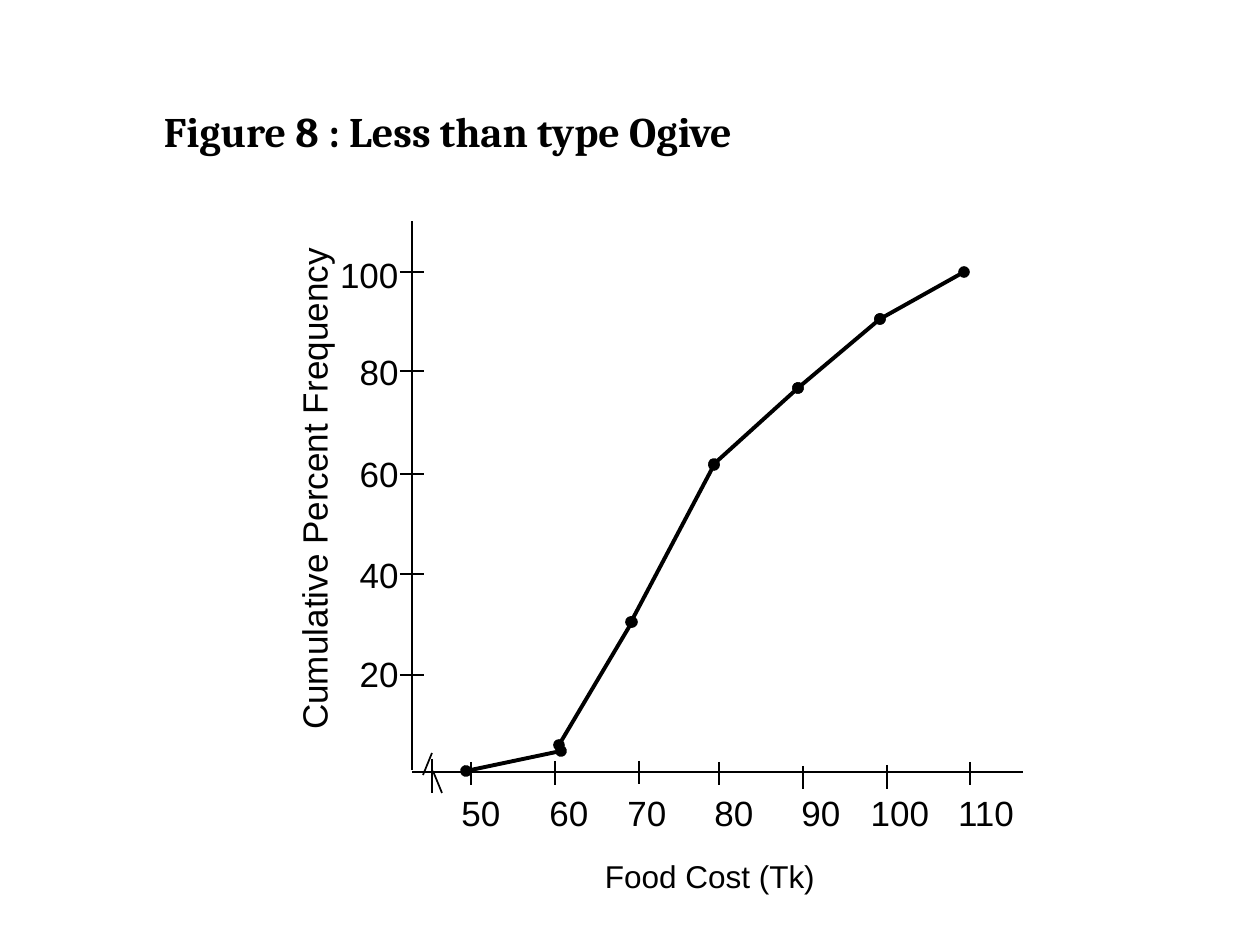
from pptx import Presentation
from pptx import util as u
from pptx.dml.color import RGBColor
from pptx.enum import shapes, text
from pptx.oxml.ns import qn
from lxml import etree

SCALE = 9144000 / 1260
INK = "000000"
TITLE = "Figure 8 : Less than type Ogive"
Y_LABELS = [("20", 675, 646), ("40", 574, 547), ("60", 474, 446),
            ("80", 371, 344), ("100", 272, 247)]
X_LABELS = [("50", 481), ("60", 569), ("70", 647), ("80", 734),
            ("90", 821), ("100", 900), ("110", 986)]
X_TICKS = [(471, 762, 785), (555, 761, 785), (639, 761, 784), (719, 762, 785),
           (803, 766, 789), (887, 765, 789), (970, 762, 785)]
AXES = [(412, 772, 1023, 772), (412, 770, 412, 221)]
AXIS_BREAK = [(423, 775, 432, 753), (442, 793, 433, 771), (432, 759, 432, 793)]
OGIVE = [(466, 771, 561, 751), (559, 745, 632, 622), (631, 622, 714, 465),
         (714, 464, 798, 388), (798, 388, 880, 319), (880, 319, 964, 272)]


def px(value):
    return u.Emu(round(value * SCALE))


def color(value):
    return RGBColor.from_string(value)


def set_all(target, values):
    for name, value in values.items():
        setattr(target, name, value)


def write(box, words, size, align, font="Arial", bold=False, **frame_format):
    frame = box.text_frame
    set_all(frame, {"word_wrap": True, "auto_size": text.MSO_AUTO_SIZE.NONE,
                    "vertical_anchor": text.MSO_ANCHOR.TOP, **frame_format})
    para = frame.paragraphs[0]
    para.alignment = align
    span = para.add_run()
    span.text = words
    set_all(span.font, {"name": font, "size": u.Pt(size), "bold": bold})
    span.font.color.rgb = color(INK)
    return para


def label(words, left, top, width, size=20, align=text.PP_ALIGN.CENTER, **frame_format):
    box = page.shapes.add_textbox(px(left), px(top), px(width), px(54))
    write(box, words, size, align, **frame_format)
    return box


def line(ends, width=1, dots=False):
    link = page.shapes.add_connector(shapes.MSO_CONNECTOR.STRAIGHT, *map(px, ends))
    link.line.width = u.Pt(width)
    link.line.color.rgb = color(INK)
    if dots:
        stroke = link.line._get_or_add_ln()
        for end in ("a:headEnd", "a:tailEnd"):
            etree.SubElement(stroke, qn(end), type="oval")
    etree.SubElement(link._element.spPr, qn("a:effectLst"))


deck = Presentation()
deck.slide_width, deck.slide_height = px(1260), px(945)
page = deck.slides.add_slide(deck.slide_layouts[5])

title = page.shapes.title
set_all(title, {"left": px(136), "top": px(105), "width": px(1029), "height": px(94)})
para = write(title, TITLE, 24, text.PP_ALIGN.LEFT, "Cambria", True, margin_left=px(28))
set_all(para, {"line_spacing": 0.9, "space_before": u.Pt(7.5)})

for ends in AXES + AXIS_BREAK:
    line(ends)
for words, tick, top in Y_LABELS:
    line((400, tick, 424, tick))
    label(words, 310, top, 101, align=text.PP_ALIGN.RIGHT)
for x, top, bottom in X_TICKS:
    line((x, top, x, bottom))
for words, center in X_LABELS:
    label(words, center - 50, 785, 100)
label("Food Cost (Tk)", 551, 851, 318, size=18)
label("Cumulative Percent Frequency", 60, 462, 507, word_wrap=False).rotation = 270
for ends in OGIVE:
    line(ends, 2.25, dots=True)

deck.save("out.pptx")
